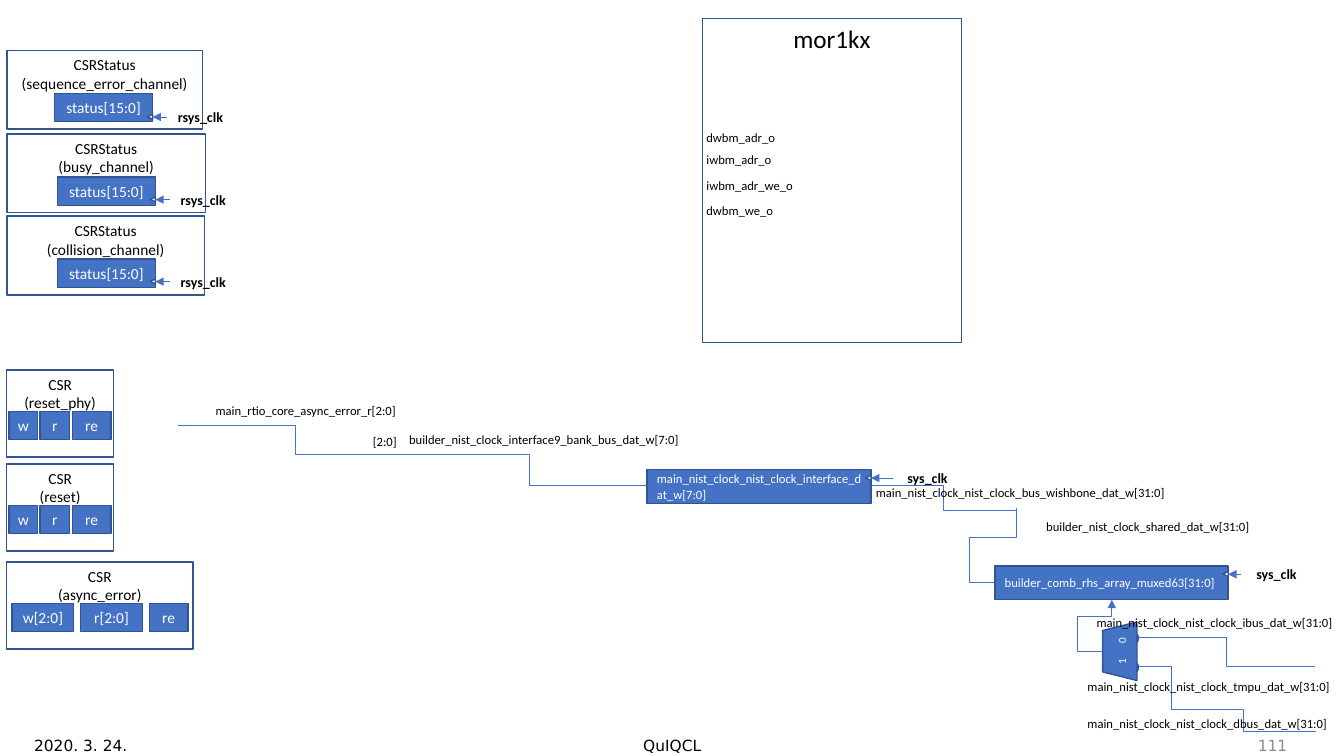
from lxml.etree import SubElement
from pptx import Presentation
from pptx.dml.color import RGBColor
from pptx.enum.shapes import MSO_CONNECTOR as Route, MSO_SHAPE as Form
from pptx.enum.text import MSO_ANCHOR as Anchor, PP_ALIGN as Align
from pptx.oxml.ns import qn
from pptx.util import Pt

BLUE, EDGE, WHITE, BLACK, GREY = "4472C4", "325491", "FFFFFF", "000000", "8C8C8C"
FIELD_HEIGHT = 20.2


def color(hex_code):
    return RGBColor.from_string(hex_code)


def write(box, lines, size, hex_code, align=Align.CENTER, anchor=Anchor.MIDDLE,
          font="Calibri", bold=False, right=7.2):
    """Fill a box with one paragraph per line; centred text gets no side insets."""
    frame = box.text_frame
    frame.word_wrap = True
    frame.vertical_anchor = anchor
    centred = align == Align.CENTER
    frame.margin_left = Pt(0 if centred else 7.2)
    frame.margin_right = Pt(0 if centred else right)
    for index, line in enumerate(lines):
        para = frame.add_paragraph() if index else frame.paragraphs[0]
        para.alignment = align
        for text in [line] if isinstance(line, str) else line:
            span = para.add_run()
            span.text = text
            span.font.name, span.font.size, span.font.bold = font, Pt(size), bold
            span.font.color.rgb = color(hex_code)


def add_text(page, left, top, width, height, text, size, hex_code=BLACK, **style):
    box = page.shapes.add_textbox(Pt(left), Pt(top), Pt(width), Pt(height))
    write(box, [text], size, hex_code, **style)


def add_label(page, left, top, width, text):
    add_text(page, left, top, width, 18, text, 9,
             align=Align.LEFT, anchor=Anchor.TOP, right=0)


def add_block(page, left, top, width, height, fill=None, form=Form.RECTANGLE, turn=0):
    block = page.shapes.add_shape(form, Pt(left), Pt(top), Pt(width), Pt(height))
    block.shadow.inherit = False
    block.rotation = turn
    if fill:
        block.fill.solid()
        block.fill.fore_color.rgb = color(fill)
    else:
        block.fill.background()
    block.line.color.rgb = color(EDGE)
    block.line.width = Pt(1)
    return block


def style_wire(wire, arrow):
    wire.line.color.rgb = color(BLUE)
    wire.line.width = Pt(0.5)
    if arrow:
        SubElement(wire.line._get_or_add_ln(), qn("a:tailEnd"), type="triangle")


def add_wire(page, x1, y1, x2, y2, route=Route.ELBOW, arrow=False):
    wire = page.shapes.add_connector(route, Pt(x1), Pt(y1), Pt(x2), Pt(y2))
    style_wire(wire, arrow)
    SubElement(wire._element.spPr, qn("a:effectLst"))


def add_routed_wire(page, points, arrow=False):
    """Draw a wire with corners that a halfway elbow cannot make."""
    (x, y), *corners = points
    builder = page.shapes.build_freeform(Pt(x), Pt(y), scale=1.0)
    builder.add_line_segments([(Pt(x), Pt(y)) for x, y in corners], close=False)
    wire = builder.convert_to_shape()
    wire.fill.background()
    style_wire(wire, arrow)
    wire.shadow.inherit = False


def add_clock(page, edge, y, gap, width, name):
    """Mark a clock input on the right edge of a register."""
    add_text(page, edge + gap, y - 9.5, width, 19.4, name, 10,
             anchor=Anchor.TOP, bold=True)
    add_block(page, edge - 3.7, y - 2, 3.7, 3.7, WHITE, Form.ISOSCELES_TRIANGLE, 270)
    add_wire(page, edge + gap, y, edge, y, Route.STRAIGHT, arrow=True)


def add_panel(page, left, top, width, height, title):
    write(add_block(page, left, top, width, height), title, 11, BLACK, anchor=Anchor.TOP)


def add_field(page, left, top, width, text):
    write(add_block(page, left, top, width, FIELD_HEIGHT, BLUE), [text], 11, WHITE)


def add_status_panel(page, left, top, width, channel, inset, clock_drop):
    add_panel(page, left, top, width, 56.2, ["CSRStatus", f"({channel})"])
    field_left, field_top, field_width = left + inset, top + 30.6, 70
    add_field(page, field_left, field_top, field_width, "status[15:0]")
    add_clock(page, field_left + field_width, field_top + clock_drop, 10.4, 47.5, "rsys_clk")


def add_csr_panel(page, left, top, width, name, fields):
    add_panel(page, left, top, width, 62.2, ["CSR", f"({name})"])
    for offset, field_width, text in fields:
        add_field(page, left + offset, top + 29.6, field_width, text)


def add_processor(page, left, top, width, height):
    block = add_block(page, left, top, width, height)
    write(block, ["mor1kx"], 18, BLACK, anchor=Anchor.TOP)
    ports = [(76.3, "dwbm_adr_o"), (92.2, "iwbm_adr_o"),
             (110.6, "iwbm_adr_we_o"), (128.5, "dwbm_we_o")]
    for drop, port in ports:
        add_label(page, left - 4.3, top + drop, 93.6, port)


def add_register(page, left, top, width, text, gap, clock_width):
    block = add_block(page, left, top, width, 24, BLUE)
    write(block, [text], 9, WHITE, align=Align.LEFT)
    add_clock(page, left + width, top + 6, gap, clock_width, "sys_clk")


def add_mux(page, left, top, width, height):
    """Place a multiplexer lying on its side, with its two input bubbles."""
    for drop in (19.9, -1):
        add_block(page, left + 26, top + drop, 8.6, 7.9, BLUE, Form.OVAL, 270)
    mux = add_block(page, left, top, width, height, BLUE, Form.TRAPEZOID, 270)
    write(mux, [["1", " ", "0"]], 8, WHITE)
    mux.text_frame.word_wrap = False
    gap_span = mux.text_frame.paragraphs[0].runs[1]
    gap_span.font._element.set("spc", "900")


def add_data_path(page):
    add_register(page, 462.2, 335.5, 160, "main_nist_clock_nist_clock_interface_dat_w[7:0]", 15.8, 49)
    add_register(page, 710.6, 404.2, 166.7, "builder_comb_rhs_array_muxed63[31:0]", 8.9, 51.1)
    add_mux(page, 779, 452.9, 41.8, 24.5)
    elbows = [(127.4, 303.8, 295.2, 324.7), (293.8, 324.7, 462.2, 347),
              (622.2, 347, 725.8, 364.3), (812.9, 455, 939.6, 475.9),
              (836.6, 506.9, 940.3, 522.7)]
    for ends in elbows:
        add_wire(page, *ends)
    add_routed_wire(page, [(725.8, 362.9), (725.8, 383.8), (692.6, 383.8),
                           (692.6, 416.2), (710.6, 416.2)])
    add_routed_wire(page, [(787.7, 465.1), (769.7, 465.1), (769.7, 440.6),
                           (794.2, 440.6), (794.2, 428.4)], arrow=True)
    add_routed_wire(page, [(813.6, 475.9), (836.6, 475.9), (836.6, 506.9)])
    labels = [
        (146.9, 284.4, 152, "main_rtio_core_async_error_r[2:0]"),
        (259.2, 306.7, 49, "[2:0]"),
        (285.1, 305.3, 208, "builder_nist_clock_interface9_bank_bus_dat_w[7:0]"),
        (618.5, 342.7, 222.5, "main_nist_clock_nist_clock_bus_wishbone_dat_w[31:0]"),
        (740.2, 367.2, 200.9, "builder_nist_clock_shared_dat_w[31:0]"),
        (776.2, 435.6, 182.9, "main_nist_clock_nist_clock_ibus_dat_w[31:0]"),
        (769.7, 481.7, 190, "main_nist_clock_nist_clock_tmpu_dat_w[31:0]"),
        (769.7, 507.6, 190, "main_nist_clock_nist_clock_dbus_dat_w[31:0]"),
    ]
    for label in labels:
        add_label(page, *label)


def add_footer(page, top):
    parts = [(17.3, 216, "2020. 3. 24.", BLACK, Align.LEFT),
             (318.2, 324, "QuIQCL", BLACK, Align.CENTER),
             (710.6, 216, "111", GREY, Align.RIGHT)]
    for left, width, text, hex_code, align in parts:
        add_text(page, left, top, width, 28.8, text, 11, hex_code,
                 align=align, font="DejaVu Sans")


def main():
    deck = Presentation()
    deck.slide_width, deck.slide_height = Pt(960), Pt(540)
    page = deck.slides.add_slide(deck.slide_layouts[6])
    add_footer(page, 517.7)
    add_processor(page, 501.8, 13, 185, 231.8)
    add_status_panel(page, 5, 36, 139.7, "sequence_error_channel", 34, 17)
    add_status_panel(page, 5, 95.8, 141.8, "busy_channel", 36, 16.2)
    add_status_panel(page, 5, 154.4, 141.1, "collision_channel", 36, 16.2)
    bit_fields = [(1.8, 20.5, "w"), (24, 21, "r"), (47, 27.6, "re")]
    bus_fields = [(4, 44, "w[2:0]"), (53, 44, "r[2:0]"), (102, 27.6, "re")]
    add_csr_panel(page, 4.7, 264.2, 76.6, "reset_phy", bit_fields)
    add_csr_panel(page, 4.7, 331.4, 76.6, "reset", bit_fields)
    add_csr_panel(page, 4.7, 401.4, 133.2, "async_error", bus_fields)
    add_data_path(page)
    deck.save("out.pptx")


if __name__ == "__main__":
    main()
